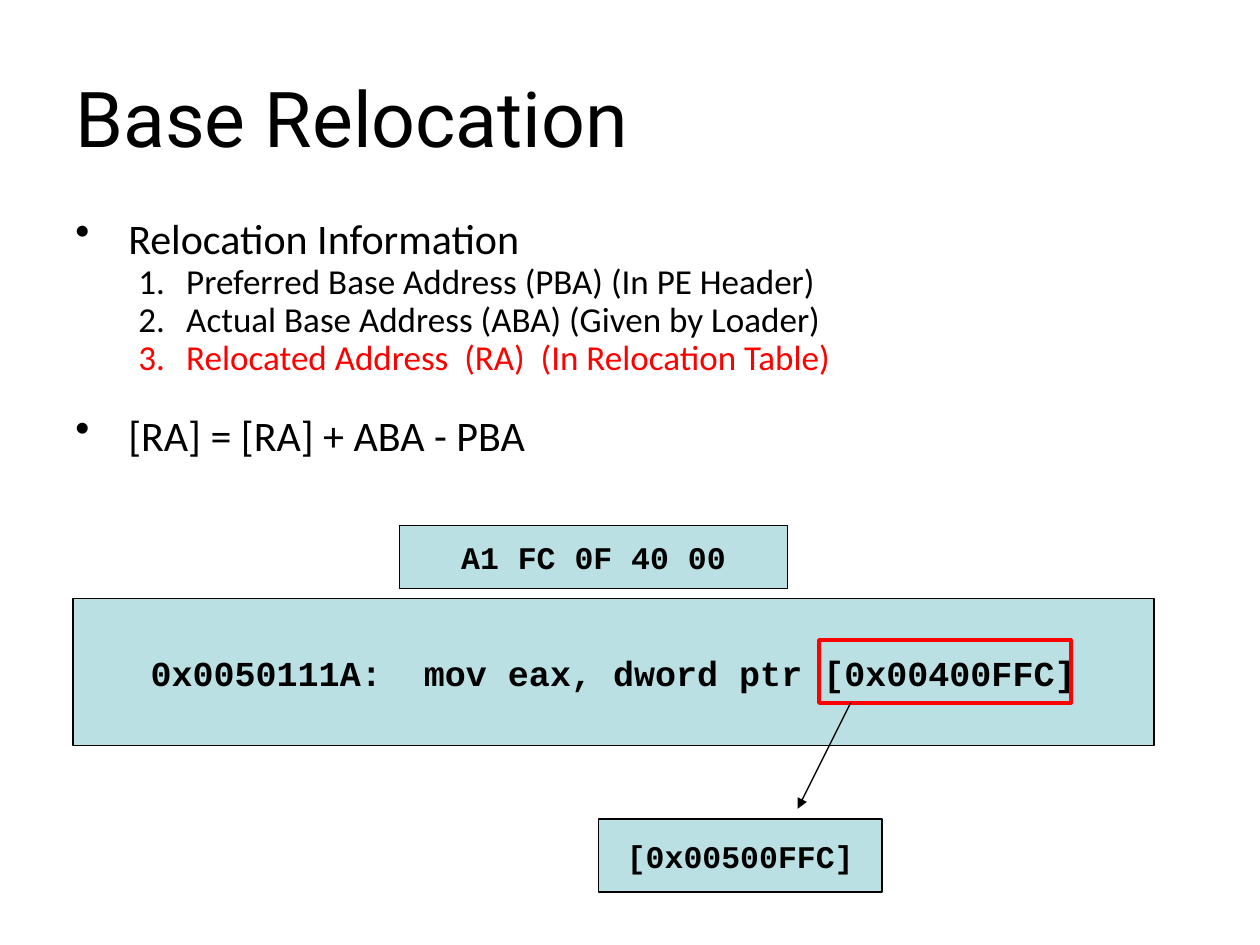
from lxml import etree
from pptx import Presentation
from pptx.dml.color import RGBColor
from pptx.enum import shapes, text
from pptx.oxml.ns import qn
from pptx.util import Inches, Pt

BLACK, RED, PALE = "000000", "FF0000", "BBE0E3"

TITLE = "Base Relocation"
# text, colour, level, space before in points
BODY = [
    ("Relocation Information", BLACK, 0, 6),
    ("Preferred Base Address (PBA) (In PE Header)", BLACK, 1, 5),
    ("Actual Base Address (ABA) (Given by Loader)", BLACK, 1, 5),
    ("Relocated Address  (RA)  (In Relocation Table)", RED, 1, 5),
    ("[RA] = [RA] + ABA - PBA", BLACK, 0, 27),
]
# size, left margin, hanging indent, bullet tag, bullet attributes
LEVELS = [
    (24, 0.42, 0.42, "a:buChar", {"char": "•"}),
    (20, 0.88, 0.38, "a:buAutoNum", {"type": "arabicPeriod"}),
]
# text, size, box
CODE = [
    ("0x0050111A:  mov eax, dword ptr [0x00400FFC]", 20, (0.58, 4.75, 8.58, 1.17)),
    ("[0x00500FFC]", 18, (4.75, 6.5, 2.25, 0.58)),
    ("A1 FC 0F 40 00", 18, (3.17, 4.17, 3.08, 0.5)),
]
OPERAND_BOX = (6.5, 5.08, 2, 0.5)
ARROW = (6.75, 5.58, 6.33, 6.42)


def rgb(value):
    return RGBColor.from_string(value)


def inches(values):
    return [Inches(v) for v in values]


def set_font(p, name, size, color=BLACK, bold=False):
    p.font.name, p.font.size, p.font.bold = name, Pt(size), bold
    p.font.color.rgb = rgb(color)


def add_text(slide, box):
    tf = slide.shapes.add_textbox(*inches(box)).text_frame
    tf.word_wrap = True
    return tf


def add_box(slide, box, line, width, fill=None):
    sp = slide.shapes.add_shape(shapes.MSO_SHAPE.RECTANGLE, *inches(box))
    sp.shadow.inherit = False
    sp.line.color.rgb = rgb(line)
    sp.line.width = Pt(width)
    if fill:
        sp.fill.solid()
        sp.fill.fore_color.rgb = rgb(fill)
    else:
        sp.fill.background()
    return sp


def add_body(slide):
    tf = add_text(slide, (0.5, 1.75, 9, 2.25))
    for i, (words, color, level, before) in enumerate(BODY):
        size, margin, hang, tag, attrs = LEVELS[level]
        p = tf.add_paragraph() if i else tf.paragraphs[0]
        p.text, p.level = words, level
        p.line_spacing, p.space_before = 0.7, Pt(before)
        set_font(p, "Calibri", size, color)
        pPr = p._p.get_or_add_pPr()
        pPr.set("marL", str(Inches(margin)))
        pPr.set("indent", str(-Inches(hang)))
        bullet_color = etree.Element(qn("a:buClr"))
        etree.SubElement(bullet_color, qn("a:srgbClr"), val=color)
        bullet = etree.Element(qn(tag), attrs)
        # bullets come before the run defaults in a:pPr
        for el in (bullet_color, bullet):
            pPr.find(qn("a:defRPr")).addprevious(el)


def add_code(slide, words, size, box):
    tf = add_box(slide, box, BLACK, 0.75, PALE).text_frame
    tf.word_wrap = False
    tf.vertical_anchor = text.MSO_ANCHOR.MIDDLE
    p = tf.paragraphs[0]
    p.text, p.alignment = words, text.PP_ALIGN.CENTER
    set_font(p, "Courier New", size, bold=True)


def add_arrow(slide, ends):
    line = slide.shapes.add_connector(shapes.MSO_CONNECTOR.STRAIGHT, *inches(ends))
    line.line.color.rgb = rgb(BLACK)
    line.line.width = Pt(0.75)
    etree.SubElement(line.line._get_or_add_ln(), qn("a:tailEnd"), type="triangle")
    etree.SubElement(line._element.spPr, qn("a:effectLst"))


def main():
    prs = Presentation()
    prs.slide_width, prs.slide_height = Inches(10), Inches(7.5)
    slide = prs.slides.add_slide(prs.slide_layouts[6])

    tf = add_text(slide, (0.5, 0.3, 9, 1.25))
    tf.vertical_anchor = text.MSO_ANCHOR.MIDDLE
    tf.text = TITLE
    set_font(tf.paragraphs[0], "Roboto", 44)

    add_body(slide)
    for item in CODE:
        add_code(slide, *item)
    add_box(slide, OPERAND_BOX, RED, 2)
    add_arrow(slide, ARROW)
    prs.save("out.pptx")


if __name__ == "__main__":
    main()
